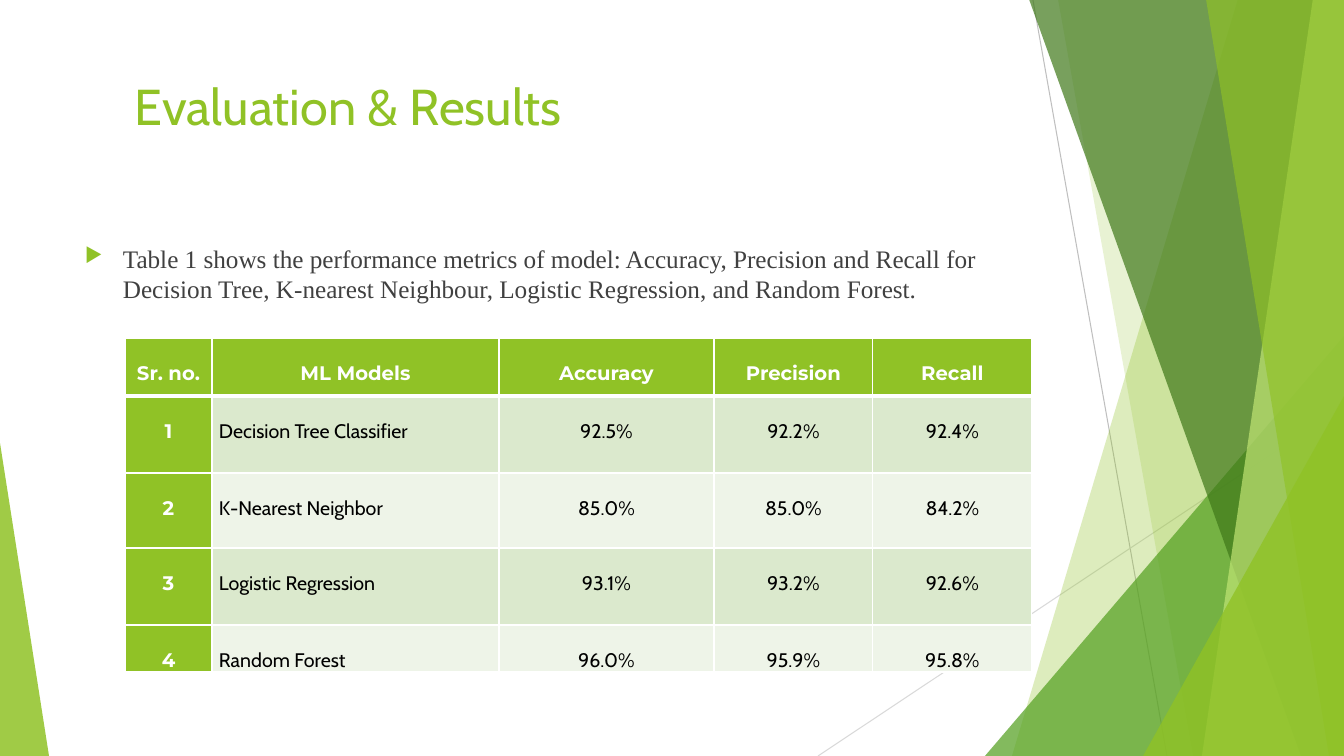
import pptx
import pptx.dml.color
import pptx.enum.shapes
import pptx.enum.text
import pptx.oxml
import pptx.oxml.ns
import pptx.util

PX = 914400 / 100.8
PAGE_WIDTH, PAGE_HEIGHT = 1344, 756
GREEN, WHITE, BLACK = "90C226", "FFFFFF", "000000"
ALIGN = pptx.enum.text.PP_ALIGN

TITLE = {"name": "Cabin", "size": pptx.util.Pt(36), "color": GREEN}
BODY = {"name": "Times New Roman", "size": pptx.util.Pt(18), "color": "404040"}
LABEL = {"name": "Montserrat", "size": pptx.util.Pt(14), "color": WHITE, "bold": True}
VALUE = {"name": "Cabin", "size": pptx.util.Pt(14), "color": BLACK, "bold": False}

RESULTS = [
    ["Sr. no.", "ML Models", "Accuracy", "Precision", "Recall"],
    ["1", "Decision Tree Classifier", "92.5%", "92.2%", "92.4%"],
    ["2", "K-Nearest Neighbor", "85.0%", "85.0%", "84.2%"],
    ["3", "Logistic Regression", "93.1%", "93.2%", "92.6%"],
    ["4", "Random Forest", "96.0%", "95.9%", "95.8%"],
]
COLUMN_WIDTHS = [87, 287, 215, 159, 159]
ROW_HEIGHTS = [58, 77, 75, 77, 44]

# Facets, back to front: (top x, bottom x) of a panel's left edge,
# or (left, top) of a corner triangle; then colour and opacity in percent
FACETS = [
    ("panel", (420, 194), GREEN, 30),
    ("panel", (240, 375), GREEN, 20),
    ("corner", (167, 336), "54A021", 72),
    ("panel", (211, 483), "3F7819", 70),
    ("panel", (495, 384), "C0E474", 70),
    ("panel", (388, 511), GREEN, 65),
    ("corner", (325, 396), GREEN, 80),
]


def px(length):
    return pptx.util.Emu(round(length * PX))


def color(code):
    return pptx.dml.color.RGBColor.from_string(code)


def add_xml(parent, text):
    opening, rest = text.split(" ", 1)
    parent.append(pptx.oxml.parse_xml(f"{opening} {pptx.oxml.ns.nsdecls('a')} {rest}"))


def paint(shape, code, opacity):
    shape.shadow.inherit = False
    shape.line.fill.background()
    shape.fill.solid()
    shape.fill.fore_color.rgb = color(code)
    for tone in shape.fill._xPr.iter(pptx.oxml.ns.qn("a:srgbClr")):
        add_xml(tone, f'<a:alpha val="{opacity * 1000}"/>')


def write(para, text, style):
    span = para.add_run()
    span.text = text
    for key, value in style.items():
        if key == "color":
            span.font.color.rgb = color(value)
        else:
            setattr(span.font, key, value)


def add_line(page, start, end, code):
    line = page.shapes.add_connector(
        pptx.enum.shapes.MSO_CONNECTOR.STRAIGHT, *map(px, start + end))
    line.line.color.rgb = color(code)
    line.line.width = pptx.util.Pt(0.75)
    add_xml(line._element.spPr, "<a:effectLst />")


def add_triangle(page, box, apex, code, opacity):
    triangle = page.shapes.add_shape(
        pptx.enum.shapes.MSO_SHAPE.ISOSCELES_TRIANGLE, *map(px, box))
    triangle.adjustments[0] = apex
    paint(triangle, code, opacity)


def add_facets(page, box):
    left, top, width, height = box
    right, bottom = left + width, top + height
    # Thin lines behind the facets
    add_line(page, (left + 215, top), (left + 349, bottom), "BFBFBF")
    add_line(page, (right, top + 406), (left, bottom), "D9D9D9")
    for kind, (first, second), code, opacity in FACETS:
        if kind == "corner":
            corner = (left + first, top + second, width - first, height - second)
            add_triangle(page, corner, 1, code, opacity)
        else:
            outline = page.shapes.build_freeform(left + first, top - 1, scale=PX)
            outline.add_line_segments(
                [(right, top - 1), (right, bottom), (left + second, bottom)], close=True)
            paint(outline.convert_to_shape(), code, opacity)


def add_text(page, box, text, style):
    frame = page.shapes.add_textbox(*map(px, box)).text_frame
    frame.word_wrap = True
    para = frame.paragraphs[0]
    write(para, text, style)
    return para


def add_bullet(page, box, text):
    para = add_text(page, box, text, BODY)
    para.space_before = pptx.util.Pt(10)
    properties = para._p.get_or_add_pPr()
    properties.set("marL", str(px(38)))
    properties.set("indent", str(px(-38)))
    add_xml(properties, f'<a:buClr ><a:srgbClr val="{GREEN}"/></a:buClr>')
    add_xml(properties, '<a:buSzPct val="80000"/>')
    add_xml(properties, '<a:buChar char="▶"/>')


def add_borders(cell, row):
    properties = cell._tc.get_or_add_tcPr()
    for side in "LRTB":
        thick = (row, side) in ((0, "B"), (1, "T"))
        width = pptx.util.Pt(3 if thick else 1)
        add_xml(properties, f'<a:ln{side} w="{width}"><a:solidFill>'
                f'<a:srgbClr val="{WHITE}"/></a:solidFill></a:ln{side}>')


def add_results(page, box):
    table = page.shapes.add_table(
        len(RESULTS), len(COLUMN_WIDTHS), *map(px, box)).table
    table.first_row = table.horz_banding = False
    for column, width in zip(table.columns, COLUMN_WIDTHS):
        column.width = px(width)
    for row, height in zip(table.rows, ROW_HEIGHTS):
        row.height = px(height)
    for i, texts in enumerate(RESULTS):
        for j, text in enumerate(texts):
            cell = table.cell(i, j)
            heading = i == 0 or j == 0
            band = "DBE9CD" if i % 2 else "EEF4E8"
            add_borders(cell, i)
            cell.fill.solid()
            cell.fill.fore_color.rgb = color(GREEN if heading else band)
            cell.margin_left = cell.margin_right = px(7)
            cell.margin_top = cell.margin_bottom = 0
            para = cell.text_frame.paragraphs[0]
            para.alignment = ALIGN.JUSTIFY if j == 1 and i else ALIGN.CENTER
            para.line_spacing = 2.0
            write(para, text, LABEL if heading else VALUE)


def main():
    deck = pptx.Presentation()
    deck.slide_width, deck.slide_height = px(PAGE_WIDTH), px(PAGE_HEIGHT)
    page = deck.slides.add_slide(deck.slide_layouts[6])
    # Background decoration
    add_facets(page, (818, 0, 526, PAGE_HEIGHT))
    add_triangle(page, (0, 443, 49, 313), 0, GREEN, 85)
    # Content
    add_text(page, (125, 70, 948, 145), "Evaluation & Results", TITLE)
    add_bullet(page, (75, 238, 948, 427),
               "Table 1 shows the performance metrics of model: Accuracy, Precision and "
               "Recall for Decision Tree, K-nearest Neighbour, Logistic Regression, "
               "and Random Forest.")
    add_results(page, (125, 338, sum(COLUMN_WIDTHS), sum(ROW_HEIGHTS)))
    deck.save("out.pptx")


if __name__ == "__main__":
    main()
